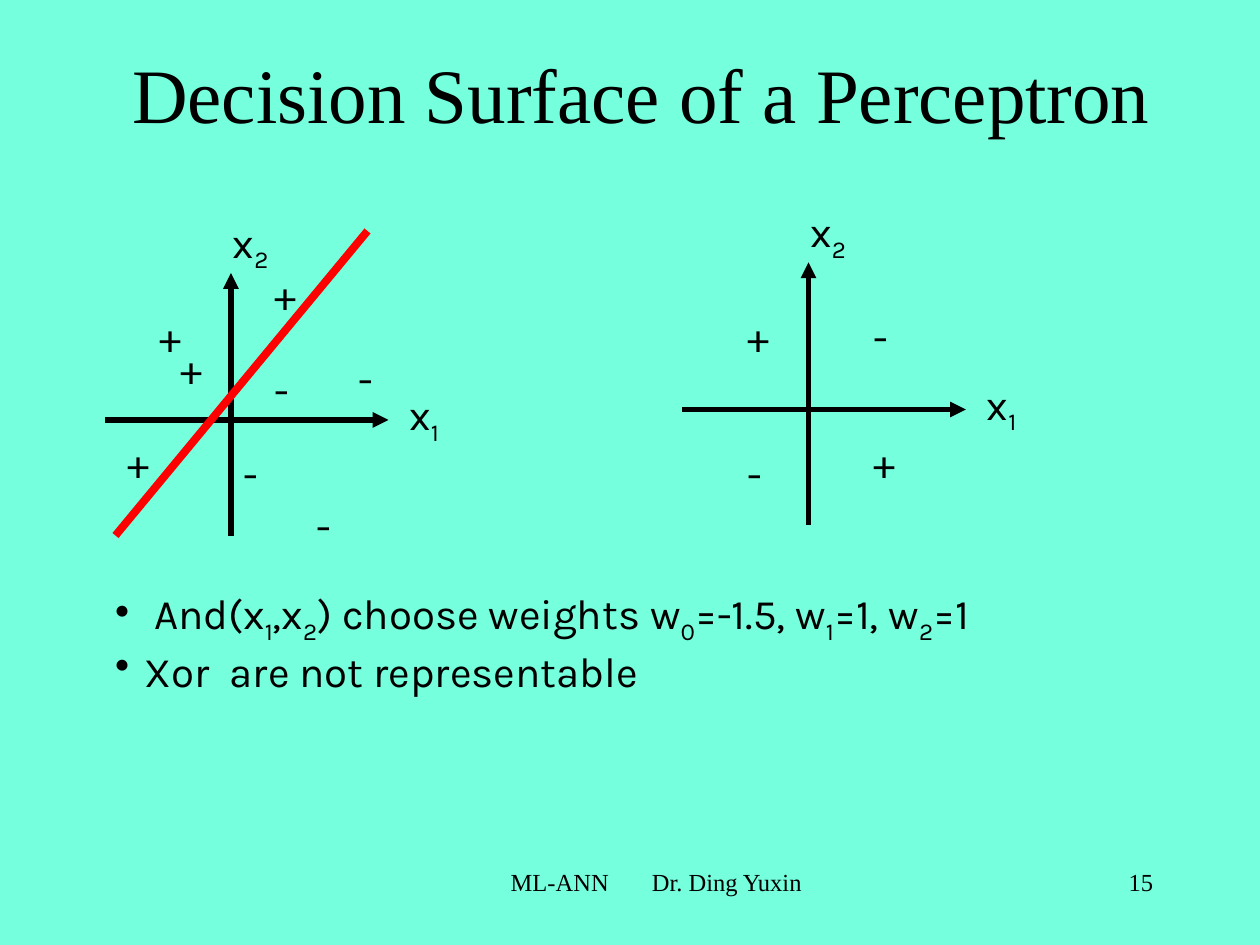
from lxml.etree import SubElement
from pptx import Presentation
from pptx.dml.color import RGBColor
from pptx.enum.shapes import MSO_CONNECTOR
from pptx.enum.text import MSO_ANCHOR, MSO_AUTO_SIZE, PP_ALIGN
from pptx.oxml.ns import qn
from pptx.util import Inches, Pt

COLORS = {"background": "75FFDD", "ink": "000000", "boundary": "FF0000"}
SERIF, SANS = "Times New Roman", "Karla"

deck = Presentation()
deck.slide_width, deck.slide_height = Inches(10), Inches(7.5)
page = deck.slides.add_slide(deck.slide_layouts[6])
page.background.fill.solid()
page.background.fill.fore_color.rgb = RGBColor.from_string(COLORS["background"])

# The page is a grid of 120 columns by 90 rows of square cells.
CELL = deck.slide_width / 120


def add_text(col, row, cols, rows, lines, size=24, font=SANS,
             align=PP_ALIGN.LEFT, wrap=False, gap=6):
    """Between underscores, digits are subscripts and a space is widened by gap points."""
    box = page.shapes.add_textbox(*(round(n * CELL) for n in (col, row, cols, rows)))
    frame = box.text_frame
    frame.word_wrap = wrap
    frame.auto_size = MSO_AUTO_SIZE.NONE if wrap else MSO_AUTO_SIZE.SHAPE_TO_FIT_TEXT
    for number, line in enumerate(lines):
        para = frame.add_paragraph() if number else frame.paragraphs[0]
        para.alignment = align
        for index, piece in enumerate(line.split("_")):
            span = para.add_run()
            span.text = piece
            span.font.size, span.font.name = Pt(size), font
            span.font.color.rgb = RGBColor.from_string(COLORS["ink"])
            if index % 2:
                props = span._r.get_or_add_rPr()
                if piece == " ":
                    props.set("spc", str(gap * 100))
                else:
                    props.set("baseline", "-25000")
    return frame


def add_line(start, end, color, width, arrow=False):
    line = page.shapes.add_connector(
        MSO_CONNECTOR.STRAIGHT, *(round(n * CELL) for n in (*start, *end)))
    line.line.color.rgb = RGBColor.from_string(COLORS[color])
    line.line.width = Pt(width)
    if arrow:
        SubElement(line.line._get_or_add_ln(), qn("a:tailEnd"), type="triangle")
    SubElement(line._element.spPr, qn("a:effectLst"))


footer = add_text(26, 82, 73, 6, ["ML-ANN_ _Dr. Ding Yuxin"], 14, SERIF,
                  PP_ALIGN.CENTER, wrap=True, gap=21)
footer.margin_left = footer.margin_right = 0
add_text(101, 82, 10, 6, ["15"], 14, SERIF, PP_ALIGN.RIGHT, wrap=True)
title = add_text(10, 4.3, 102.2, 9.5, ["Decision Surface of a Perceptron"], 44, SERIF,
                 PP_ALIGN.CENTER, wrap=True)
title.vertical_anchor = MSO_ANCHOR.BOTTOM

# Each plot: its origin, then the marks as offsets from that origin.
plots = [
    ((22, 40), {"+": [(3, -15), (-6, -8), (-8, -11), (-11, 1)],
                "-": [(0, 2), (3, -6), (7, 7), (11, -7)]}),
    ((77, 39), {"+": [(-7, -10), (5, 2)],
                "-": [(-7, 3), (5, -10)]}),
]
mark_widths = {"+": 5.3, "-": 3.8}

for (x, y), marks in plots:
    add_line((x, y + 11), (x, y - 14), "ink", 3, arrow=True)
    add_line((x - 12, y), (x + 15, y), "ink", 3, arrow=True)
    for sign, offsets in marks.items():
        for dx, dy in offsets:
            add_text(x + dx, y + dy, mark_widths[sign], 6, [sign])
    add_text(x + 15.8, y - 3.55, 5.9, 6, ["x_1_"])
    add_text(x - 1, y - 20, 5.9, 6, ["x_2_"])

add_line((11, 51), (35, 22), "boundary", 4.5)

notes = add_text(9.8, 55.4, 91.4, 10.8, [
    " And(x_1_,x_2_) choose weights w_0_=-1.5, w_1_=1, w_2_=1",
    "Xor_ _are not representable",
])
for para in notes.paragraphs:
    props = para._p.get_or_add_pPr()
    props.set("marL", str(Inches(0.23)))
    props.set("indent", str(-Inches(0.23)))
    SubElement(props, qn("a:buChar"), char="•")

deck.save("out.pptx")
